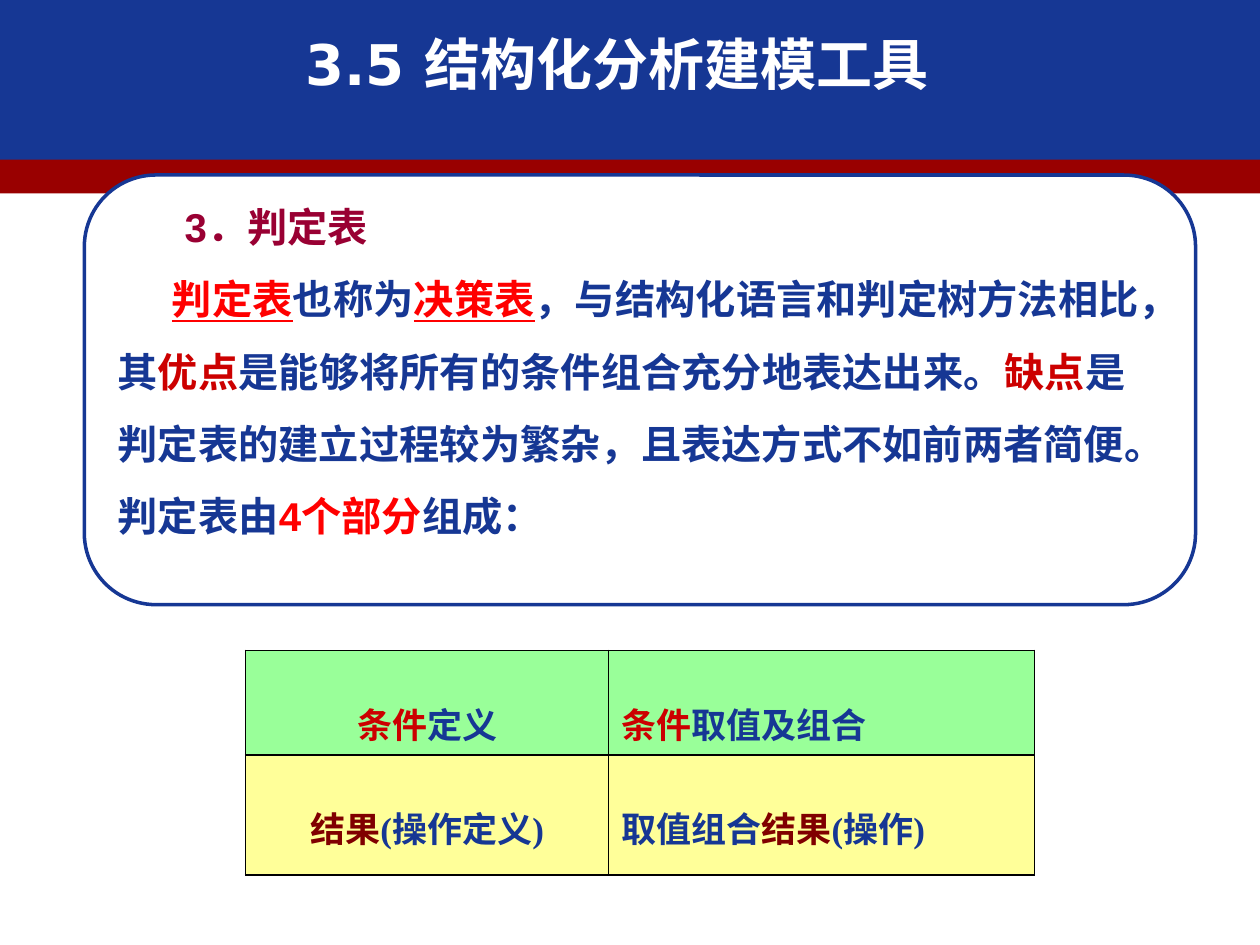
from dataclasses import dataclass

from lxml import etree
from pptx import Presentation
from pptx.dml.color import RGBColor
from pptx.enum.shapes import MSO_SHAPE as Shape
from pptx.enum.text import MSO_ANCHOR as Anchor, PP_ALIGN as Align
from pptx.oxml.ns import qn
from pptx.util import Pt


@dataclass(frozen=True)
class Theme:
    blue: str = "163794"
    band: str = "990000"
    heading: str = "990033"
    red: str = "FF0000"
    dark_red: str = "CC0000"
    maroon: str = "800000"
    white: str = "FFFFFF"
    black: str = "000000"
    green: str = "99FF99"
    yellow: str = "FFFF99"
    title_font: str = "DejaVu Sans"
    body_font: str = "Arial"
    table_font: str = "Times New Roman"
    title_size: int = 32
    body_size: int = 23
    table_size: int = 20


T = Theme()


def rgb(value):
    return RGBColor.from_string(value)


def add_runs(p, runs, font, size):
    """Each run is (text, colour) or (text, colour, underlined)."""
    for text, color, *underline in runs:
        r = p.add_run()
        r.text = text
        r.font.name, r.font.size, r.font.bold = font, Pt(size), True
        r.font.color.rgb = rgb(color)
        if underline:
            r.font.underline = underline[0]


def add_box(s, kind, box, fill, line=None):
    sp = s.shapes.add_shape(kind, *map(Pt, box))
    sp.shadow.inherit = False
    sp.fill.solid()
    sp.fill.fore_color.rgb = rgb(fill)
    if line:
        sp.line.color.rgb = rgb(line)
        sp.line.width = Pt(2)
    else:
        sp.line.fill.background()
    return sp


def add_title(s, text, box):
    tf = s.shapes.add_textbox(*map(Pt, box)).text_frame
    tf.word_wrap = True
    tf.vertical_anchor = Anchor.MIDDLE
    p = tf.paragraphs[0]
    p.alignment = Align.CENTER
    add_runs(p, [(text, T.white)], T.title_font, T.title_size)


def add_panel(s, box, paragraphs):
    """Each paragraph is (first-line indent, line spacing, runs)."""
    tf = add_box(s, Shape.ROUNDED_RECTANGLE, box, T.white, T.blue).text_frame
    tf.word_wrap = True
    tf.vertical_anchor = Anchor.TOP
    for i, (indent, spacing, runs) in enumerate(paragraphs):
        p = tf.add_paragraph() if i else tf.paragraphs[0]
        p.alignment = Align.LEFT
        p.line_spacing = spacing
        p._p.get_or_add_pPr().set("indent", str(Pt(indent)))
        add_runs(p, runs, T.body_font, T.body_size)


def set_borders(cell):
    tc_pr = cell._tc.get_or_add_tcPr()
    for side in ("lnL", "lnR", "lnT", "lnB"):
        ln = etree.SubElement(tc_pr, qn(f"a:{side}"), w=str(Pt(1)))
        fill = etree.SubElement(ln, qn("a:solidFill"))
        etree.SubElement(fill, qn("a:srgbClr"), val=T.black)


def add_grid(s, left, top, widths, heights, fills, rows):
    table = s.shapes.add_table(
        len(heights), len(widths), Pt(left), Pt(top),
        Pt(sum(widths)), Pt(sum(heights))).table
    table.first_row = table.horz_banding = False
    for col, width in zip(table.columns, widths):
        col.width = Pt(width)
    for row, height, fill, contents in zip(table.rows, heights, fills, rows):
        row.height = Pt(height)
        aligns = (Align.CENTER, Align.LEFT)
        for cell, align, runs in zip(row.cells, aligns, contents):
            set_borders(cell)
            cell.fill.solid()
            cell.fill.fore_color.rgb = rgb(fill)
            cell.margin_top = Pt(27)
            p = cell.text_frame.paragraphs[0]
            p.alignment = align
            add_runs(p, runs, T.table_font, T.table_size)


def main():
    prs = Presentation()
    prs.slide_width, prs.slide_height = Pt(720), Pt(540)
    s = prs.slides.add_slide(prs.slide_layouts[6])

    # Header bands
    add_box(s, Shape.RECTANGLE, (0, 0, 720, 93), T.blue)
    add_box(s, Shape.RECTANGLE, (0, 91.2, 720, 19.4), T.band)

    # Explanation panel
    add_panel(s, (48.2, 100, 635, 245.5), [
        (38.3, 1, [("3．判定表", T.heading)]),
        (31, 1.5, [
            ("判定表", T.red, True),
            ("也称为", T.blue),
            ("决策表", T.red, True),
            ("，与结构化语言和判定树方法相比，其", T.blue),
            ("优点", T.dark_red),
            ("是能够将所有的条件组合充分地表达出来。", T.blue),
            ("缺点", T.dark_red),
            ("是判定表的建立过程较为繁杂，且表达方式不如前两者简便。", T.blue),
        ]),
        (0, 1.5, [
            ("判定表由", T.blue),
            ("4个部分", T.red),
            ("组成：", T.blue),
        ]),
    ])

    # The four parts of a decision table
    add_grid(s, 140.4, 371.7, (207.4, 243.4), (55.2, 68.6), (T.green, T.yellow), [
        ([("条件", T.dark_red), ("定义", T.blue)],
         [("条件", T.dark_red), ("取值及组合", T.blue)]),
        ([("结果", T.maroon), ("(操作定义)", T.blue)],
         [("取值组合", T.blue), ("结果", T.maroon), ("(操作)", T.blue)]),
    ])

    # Title
    add_title(s, "3.5 结构化分析建模工具", (31, 15.1, 643.7, 41.8))

    prs.save("out.pptx")


if __name__ == "__main__":
    main()
